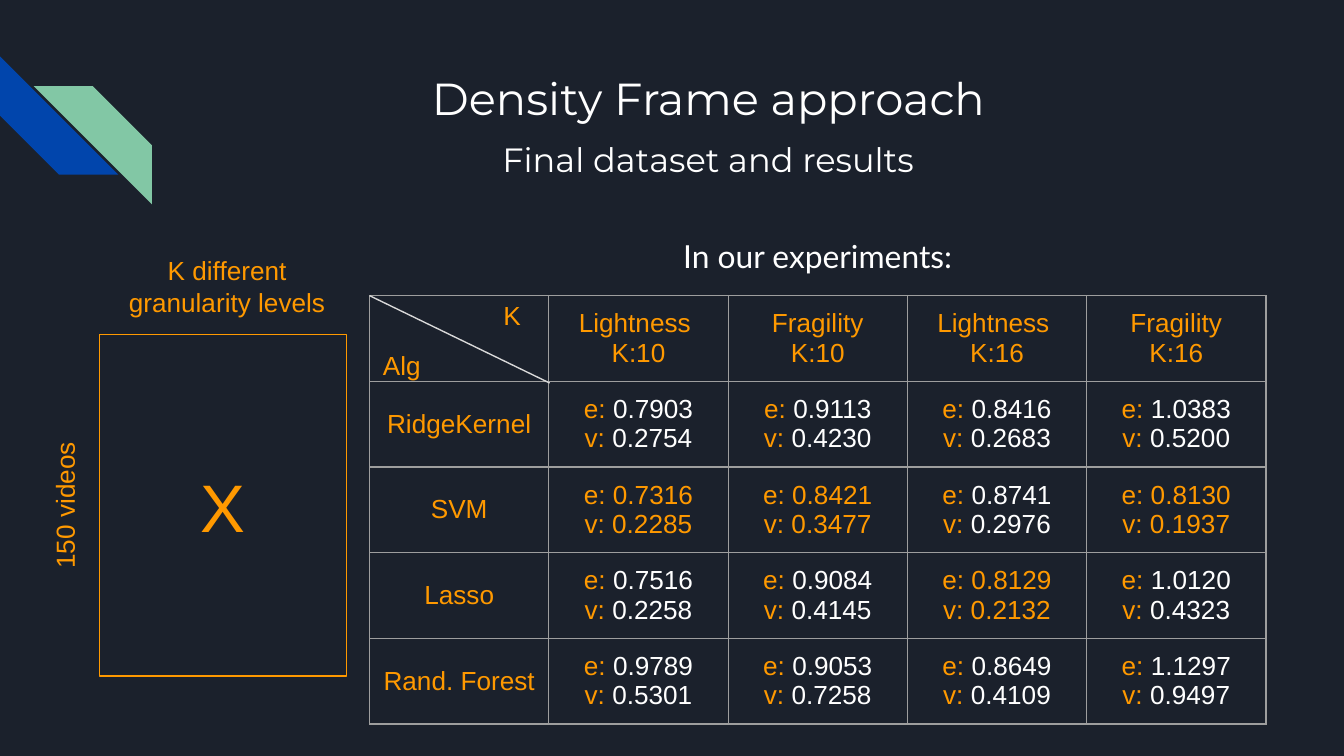
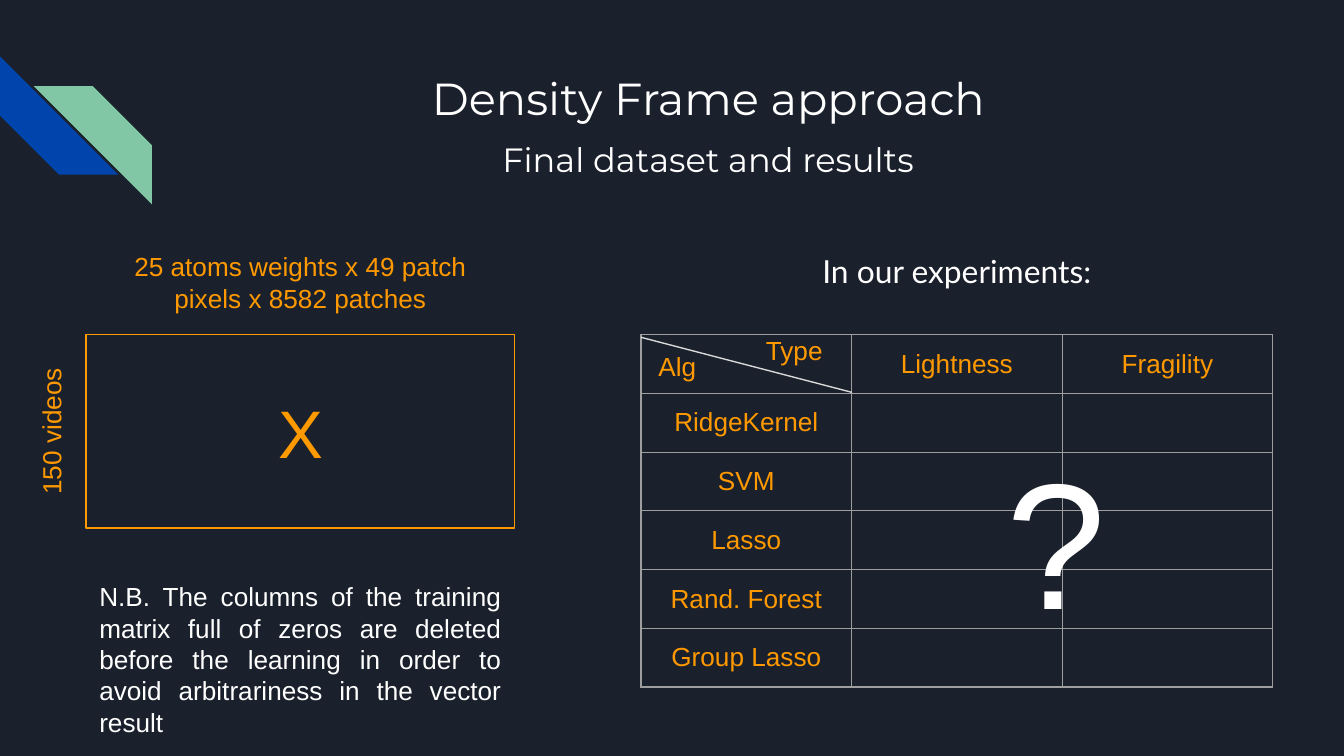
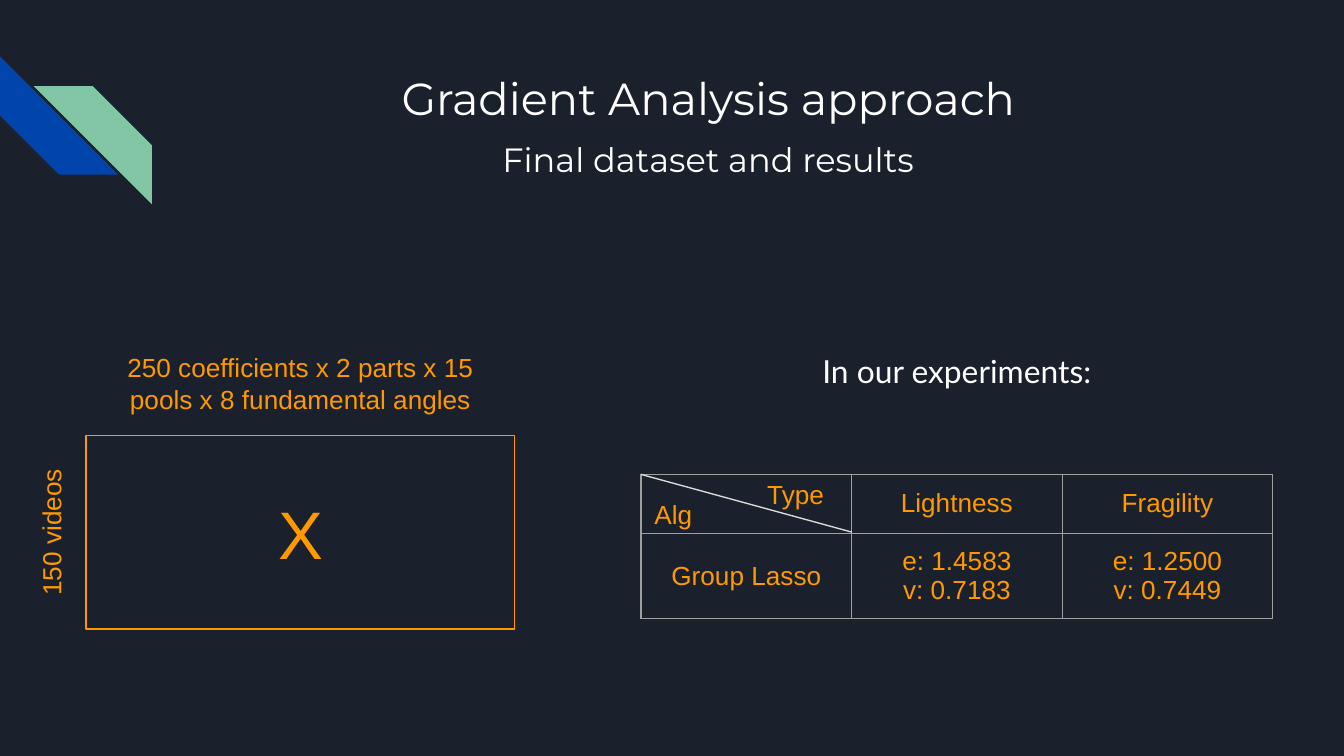
"""Build three dark slides that compare learning datasets and their results."""
from dataclasses import dataclass
from typing import NamedTuple

from lxml.etree import SubElement
from pptx import Presentation
from pptx.dml.color import RGBColor
from pptx.enum.shapes import MSO_CONNECTOR as Connector, MSO_SHAPE as Preset
from pptx.enum.text import MSO_ANCHOR as Anchor, MSO_AUTO_SIZE as AutoSize, PP_ALIGN as Align
from pptx.oxml.ns import qn
from pptx.util import Inches, Pt


@dataclass(frozen=True)
class Theme:
    """Colours, fonts and type sizes of the deck."""
    night: str = "1B212C"
    blue: str = "0145AC"
    green: str = "82C7A5"
    orange: str = "FF9900"
    white: str = "FFFFFF"
    grid: str = "9E9E9E"
    diagonal: str = "D9D9D9"
    title_font: str = "Montserrat"
    heading_font: str = "Lato"
    text_font: str = "Arial"
    title: int = 24
    subtitle: int = 18
    heading: int = 17
    text: int = 14
    symbol: int = 36
    question: int = 96
    line: float = 0.75


THEME = Theme()
PADDING = {f"margin_{side}": Inches(0.1) for side in ("left", "top", "right", "bottom")}


class Box(NamedTuple):
    """A rectangle in inches."""
    left: float
    top: float
    width: float
    height: float

    def lengths(self) -> list:
        """Give the four values as lengths."""
        return [Inches(value) for value in self]


class Span(NamedTuple):
    """A run of text in one format."""
    text: str
    colour: str = THEME.orange
    size: int = THEME.text
    font: str = THEME.text_font


class Score(NamedTuple):
    """Error and variance of one experiment."""
    error: str
    variance: str
    best: bool = False

    def lines(self) -> list:
        """Give one line of spans for each value."""
        pairs = (("e: ", self.error), ("v: ", self.variance))
        if self.best:
            return [[Span(name + value)] for name, value in pairs]
        return [[Span(name), Span(value, THEME.white)] for name, value in pairs]


@dataclass(frozen=True)
class Results:
    """A results table with a split corner cell."""
    box: Box
    row_heights: list
    rows: list
    diagonal: Box
    side_label: Box
    top_label: Box
    top_text: str = "Type"


@dataclass(frozen=True)
class Experiment:
    """The content of one slide."""
    title: str
    heading: Box
    matrix: Box
    caption: str
    caption_box: Box
    results: Results
    note: str = ""
    question: str = ""


TITLE_BOX = Box(1.42, 0.43, 7.7, 1)
NOTE_BOX = Box(0.64, 4.22, 3.19, 1.3)
QUESTION_BOX = Box(6.93, 3, 1.86, 2)
TYPE_HEADER = ["", "Lightness", "Fragility"]

EXPERIMENTS = [
    Experiment(
        "Density Frame approach", Box(2.75, 1.66, 6.67, 0.54), Box(0.74, 2.49, 1.84, 2.54),
        "K different granularity levels", Box(0.74, 1.83, 1.9, 0.6),
        Results(
            Box(2.75, 2.2, 6.67, 3.33), [0.4] * 4 + [0.55],
            [
                ["", "Lightness \nK:10", "Fragility\nK:10", "Lightness \nK:16", "Fragility\nK:16"],
                ["RidgeKernel", Score("0.7903", "0.2754"), Score("0.9113", "0.4230"),
                 Score("0.8416", "0.2683"), Score("1.0383", "0.5200")],
                ["SVM", Score("0.7316", "0.2285", True), Score("0.8421", "0.3477", True),
                 Score("0.8741", "0.2976"), Score("0.8130", "0.1937", True)],
                ["Lasso", Score("0.7516", "0.2258"), Score("0.9084", "0.4145"),
                 Score("0.8129", "0.2132", True), Score("1.0120", "0.4323")],
                ["Rand. Forest", Score("0.9789", "0.5301"), Score("0.9053", "0.7258"),
                 Score("0.8649", "0.4109"), Score("1.1297", "0.9497")],
            ],
            Box(2.75, 2.2, 1.34, 0.65), Box(2.75, 2.57, 0.52, 0.29),
            Box(3.55, 2.2, 0.52, 0.29), "K"),
    ),
    Experiment(
        "Density Frame approach", Box(4.88, 1.77, 4.48, 0.54), Box(0.64, 2.49, 3.19, 1.44),
        "25 atoms weights x 49 patch pixels x 8582 patches", Box(0.64, 1.8, 3.19, 0.6),
        Results(
            Box(4.77, 2.49, 4.7, 2.6), [0.43] * 6,
            [TYPE_HEADER] + [[name, "", ""] for name in (
                "RidgeKernel", "SVM", "Lasso", "Rand. Forest", "Group Lasso")],
            Box(4.77, 2.51, 1.57, 0.41), Box(4.8, 2.58, 0.52, 0.29), Box(5.49, 2.46, 0.84, 0.29)),
        "N.B. The columns of the training matrix full of zeros are deleted before the learning "
        "in order to avoid arbitrariness in the vector result",
        "?",
    ),
    Experiment(
        "Gradient Analysis approach", Box(4.88, 2.52, 4.48, 0.54), Box(0.64, 3.24, 3.19, 1.44),
        "250 coefficients x 2 parts x 15 pools x 8 fundamental angles",
        Box(0.64, 2.55, 3.19, 0.6),
        Results(
            Box(4.77, 3.53, 4.7, 1.1), [0.43, 0.43],
            [TYPE_HEADER,
             ["Group Lasso", Score("1.4583", "0.7183", True), Score("1.2500", "0.7449", True)]],
            Box(4.77, 3.53, 1.57, 0.43), Box(4.77, 3.68, 0.52, 0.29), Box(5.5, 3.53, 0.84, 0.29)),
    ),
]


def assign(target, values: dict) -> None:
    """Set each named attribute of the target."""
    for name, value in values.items():
        setattr(target, name, value)


def write(frame, lines: list, align=Align.CENTER) -> None:
    """Write lines of spans as paragraphs."""
    for index, spans in enumerate(lines):
        para = frame.paragraphs[0] if index == 0 else frame.add_paragraph()
        assign(para, {"alignment": align, "line_spacing": 1.0,
                      "space_before": Pt(0), "space_after": Pt(0)})
        for span in spans:
            run = para.add_run()
            run.text = span.text
            assign(run.font, {"name": span.font, "size": Pt(span.size), "bold": False})
            run.font.color.rgb = RGBColor.from_string(span.colour)


def format_frame(frame, anchor=Anchor.MIDDLE) -> None:
    """Give a text frame the shared padding and wrapping."""
    assign(frame, {"word_wrap": True, "auto_size": AutoSize.NONE,
                   "vertical_anchor": anchor, **PADDING})


def add_label(page, box: Box, span: Span, align=Align.CENTER, anchor=Anchor.MIDDLE,
              rotation: float = 0) -> None:
    """Add a text box with one span."""
    label = page.shapes.add_textbox(*box.lengths())
    label.rotation = rotation
    format_frame(label.text_frame, anchor)
    write(label.text_frame, [[span]], align)


def fill_placeholder(holder, box: Box, lines: list, anchor) -> None:
    """Move a placeholder and write its lines."""
    assign(holder, dict(zip(("left", "top", "width", "height"), box.lengths())))
    format_frame(holder.text_frame, anchor)
    write(holder.text_frame, lines)


def add_headings(page, experiment: Experiment) -> None:
    """Write the slide title and the heading above the table."""
    title = page.shapes.title
    fill_placeholder(title, TITLE_BOX, [
        [Span(experiment.title, THEME.white, THEME.title, THEME.title_font)],
        [Span("Final dataset and results", THEME.white, THEME.subtitle, THEME.title_font)],
    ], Anchor.MIDDLE)
    title.text_frame.paragraphs[1].space_before = Pt(7.5)
    body = page.placeholders[1]
    heading = Span("In our experiments:", THEME.white, THEME.heading, THEME.heading_font)
    fill_placeholder(body, experiment.heading, [[heading]], Anchor.TOP)
    properties = body.text_frame.paragraphs[0]._p.get_or_add_pPr()
    for name in ("marL", "indent"):
        properties.set(name, "0")
    SubElement(properties, qn("a:buNone"))


def add_matrix(page, experiment: Experiment) -> None:
    """Draw the data matrix with its two size labels."""
    box = experiment.matrix
    matrix = page.shapes.add_shape(Preset.RECTANGLE, *box.lengths())
    matrix.shadow.inherit = False
    matrix.fill.background()
    matrix.line.color.rgb = RGBColor.from_string(THEME.orange)
    matrix.line.width = Pt(THEME.line)
    format_frame(matrix.text_frame)
    write(matrix.text_frame, [[Span("X", size=THEME.symbol)]])
    side = Box(box.left - 0.98, box.top + box.height / 2 - 0.18, 1.44, 0.36)
    add_label(page, side, Span("150 videos"), rotation=270)
    add_label(page, experiment.caption_box, Span(experiment.caption))


def format_cell(cell) -> None:
    """Give a cell grid lines, padding and no fill."""
    assign(cell, {"vertical_anchor": Anchor.MIDDLE, **PADDING})
    properties = cell._tc.get_or_add_tcPr()
    for edge in ("lnL", "lnR", "lnT", "lnB"):
        line = SubElement(properties, qn(f"a:{edge}"), w=str(Pt(THEME.line)))
        SubElement(SubElement(line, qn("a:solidFill")), qn("a:srgbClr"), val=THEME.grid)
    cell.fill.background()


def fill_cell(cell, content) -> None:
    """Write a score or plain lines into a cell."""
    format_cell(cell)
    if isinstance(content, Score):
        write(cell.text_frame, content.lines())
    elif content:
        write(cell.text_frame, [[Span(text)] for text in content.split("\n")])
    else:
        SubElement(cell.text_frame.paragraphs[0]._p, qn("a:endParaRPr"), sz=str(THEME.text * 100))


def add_results(page, results: Results) -> None:
    """Draw the results table and its split corner."""
    rows = results.rows
    holder = page.shapes.add_table(len(rows), len(rows[0]), *results.box.lengths())
    table = holder.table
    assign(table, {"first_row": False, "horz_banding": False})
    for row, height in zip(table.rows, results.row_heights):
        row.height = Inches(height)
    holder.height = Inches(results.box.height)
    for row, contents in zip(table.rows, rows):
        for cell, content in zip(row.cells, contents):
            fill_cell(cell, content)
    left, top, width, height = results.diagonal.lengths()
    diagonal = page.shapes.add_connector(
        Connector.STRAIGHT, left, top, left + width, top + height)
    diagonal.line.color.rgb = RGBColor.from_string(THEME.diagonal)
    diagonal.line.width = Pt(THEME.line)
    SubElement(diagonal.element.spPr, qn("a:effectLst"))
    add_label(page, results.side_label, Span("Alg"), Align.LEFT)
    add_label(page, results.top_label, Span(results.top_text))


def add_stripe(page, layout, box: Box, colour: str, rotation: float, flip: bool) -> None:
    """Draw a diagonal stripe and move it to the layout."""
    stripe = page.shapes.add_shape(Preset.DIAGONAL_STRIPE, *box.lengths())
    stripe.shadow.inherit = False
    stripe.rotation = rotation
    stripe.fill.solid()
    stripe.fill.fore_color.rgb = RGBColor.from_string(colour)
    stripe.line.fill.background()
    if flip:
        stripe.element.spPr.find(qn("a:xfrm")).set("flipH", "1")
    layout.shapes.element.append(stripe.element)


def main() -> None:
    """Build and save the deck."""
    deck = Presentation()
    assign(deck, {"slide_width": Inches(10), "slide_height": Inches(10) * 9 // 16})
    backdrop = deck.slide_master.background.fill
    backdrop.solid()
    backdrop.fore_color.rgb = RGBColor.from_string(THEME.night)
    layout = deck.slide_layouts[1]
    pages = [deck.slides.add_slide(layout) for _ in EXPERIMENTS]
    add_stripe(pages[0], layout, Box(0, 0.42, 0.88, 0.88), THEME.blue, 270, False)
    add_stripe(pages[0], layout, Box(0.25, 0.64, 0.88, 0.88), THEME.green, 0, True)
    for page, experiment in zip(pages, EXPERIMENTS):
        add_headings(page, experiment)
        add_matrix(page, experiment)
        add_results(page, experiment.results)
        if experiment.note:
            add_label(page, NOTE_BOX, Span(experiment.note, THEME.white),
                      Align.JUSTIFY, Anchor.TOP)
        if experiment.question:
            add_label(page, QUESTION_BOX, Span(experiment.question, THEME.white, THEME.question))
    deck.save("out.pptx")


if __name__ == "__main__":
    main()
